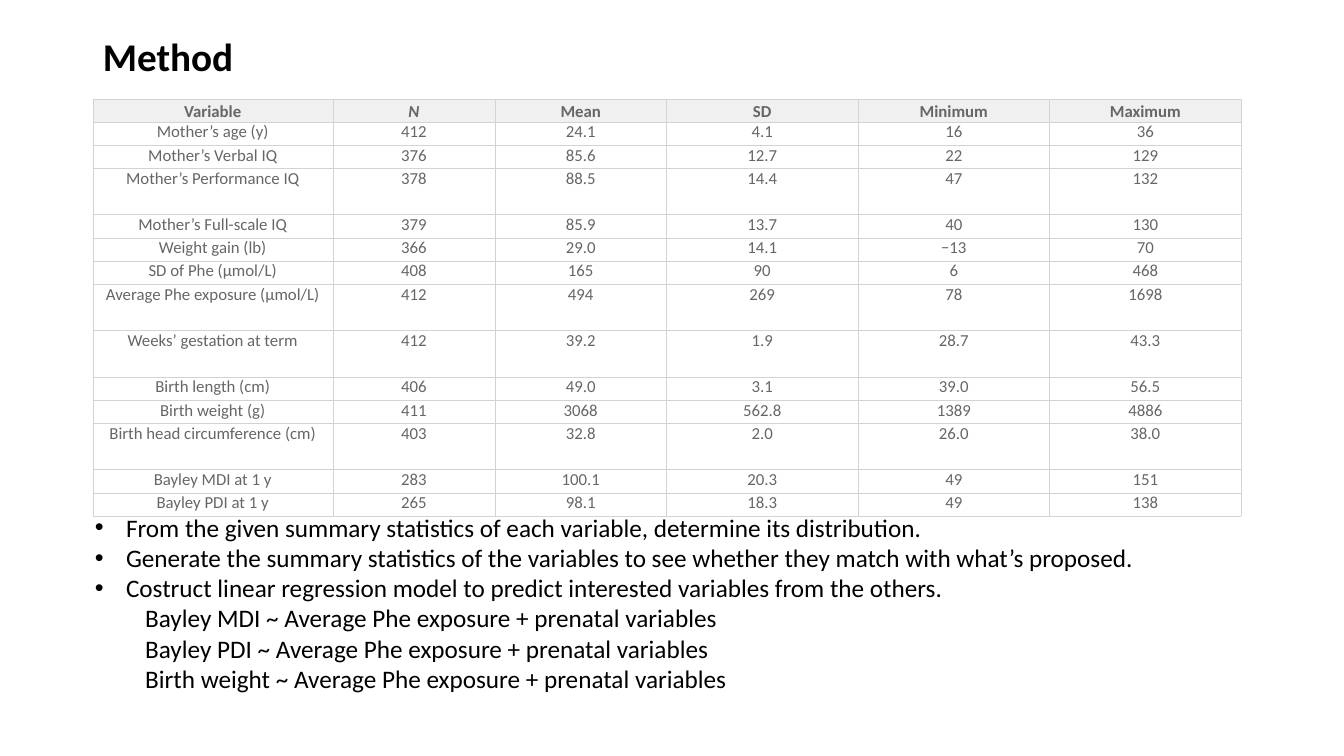
from lxml import etree
from pptx import Presentation
from pptx.dml.color import RGBColor
from pptx.enum.text import MSO_ANCHOR, MSO_AUTO_SIZE, PP_ALIGN
from pptx.oxml.ns import qn
from pptx.util import Inches, Pt

BLACK = RGBColor(0x00, 0x00, 0x00)
WHITE = RGBColor(0xFF, 0xFF, 0xFF)
GREY = RGBColor(0x66, 0x66, 0x66)
PALE = RGBColor(0xF0, 0xF0, 0xF0)
RULE = RGBColor(0xD3, 0xD3, 0xD3)
FONT = "Calibri"
LEFT, CENTER = PP_ALIGN.LEFT, PP_ALIGN.CENTER
TOP, MIDDLE, BOTTOM = MSO_ANCHOR.TOP, MSO_ANCHOR.MIDDLE, MSO_ANCHOR.BOTTOM
NO_FIT, GROW = MSO_AUTO_SIZE.NONE, MSO_AUTO_SIZE.SHAPE_TO_FIT_TEXT

WIDTHS = [2.38, 1.61, 1.7, 1.9, 1.9, 1.9]
ROW = 0.23
TALL = {3, 7, 8, 11}  # rows of double height
DATA = [
    ("Variable", "N", "Mean", "SD", "Minimum", "Maximum"),
    ("Mother’s age (y)", "412", "24.1", "4.1", "16", "36"),
    ("Mother’s Verbal IQ", "376", "85.6", "12.7", "22", "129"),
    ("Mother’s Performance IQ", "378", "88.5", "14.4", "47", "132"),
    ("Mother’s Full-scale IQ", "379", "85.9", "13.7", "40", "130"),
    ("Weight gain (lb)", "366", "29.0", "14.1", "−13", "70"),
    ("SD of Phe (μmol/L)", "408", "165", "90", "6", "468"),
    ("Average Phe exposure (μmol/L)", "412", "494", "269", "78", "1698"),
    ("Weeks’ gestation at term", "412", "39.2", "1.9", "28.7", "43.3"),
    ("Birth length (cm)", "406", "49.0", "3.1", "39.0", "56.5"),
    ("Birth weight (g)", "411", "3068", "562.8", "1389", "4886"),
    ("Birth head circumference (cm)", "403", "32.8", "2.0", "26.0", "38.0"),
    ("Bayley MDI at 1 y", "283", "100.1", "20.3", "49", "151"),
    ("Bayley PDI at 1 y", "265", "98.1", "18.3", "49", "138"),
]
STEPS = [
    "From the given summary statistics of each variable, determine its distribution.",
    "Generate the summary statistics of the variables to see whether they match with what’s proposed.",
    "Costruct linear regression model to predict interested variables from the others.",
]
MODELS = [f"{name} ~ Average Phe exposure + prenatal variables"
          for name in ("Bayley MDI", "Bayley PDI", "Birth weight")]


def place(shape, left, top, width, height):
    shape.left, shape.top = Inches(left), Inches(top)
    shape.width, shape.height = Inches(width), Inches(height)


def add_run(para, text, size, color, bold=False, italic=False):
    run = para.add_run()
    run.text = text
    font = run.font
    font.name, font.size = FONT, Pt(size)
    font.bold, font.italic = bold, italic
    font.color.rgb = color


def add_title(slide, text):
    title = slide.shapes.title
    place(title, 0.92, 0.19, 2.16, 0.79)
    frame = title.text_frame
    frame.auto_size, frame.vertical_anchor = NO_FIT, MIDDLE
    para = frame.paragraphs[0]
    para.alignment, para.line_spacing = LEFT, 0.9
    add_run(para, text, 28, BLACK, bold=True)


def set_edges(cell):
    props = cell._tc.get_or_add_tcPr()
    for side in ("a:lnL", "a:lnR", "a:lnT", "a:lnB"):
        line = etree.SubElement(props, qn(side), w=str(Pt(0.3)))
        fill = etree.SubElement(line, qn("a:solidFill"))
        etree.SubElement(fill, qn("a:srgbClr"), val=str(RULE))


def fill_cell(cell, text, head):
    set_edges(cell)
    cell.fill.solid()
    cell.fill.fore_color.rgb = PALE if head else WHITE
    cell.margin_left = cell.margin_right = 0
    cell.margin_top = cell.margin_bottom = 0
    cell.vertical_anchor = BOTTOM if head else TOP
    para = cell.text_frame.paragraphs[0]
    para.alignment = CENTER
    add_run(para, text, 12, GREY, bold=head, italic=text == "N")


def add_stats(slide):
    heights = [ROW * (2 if i in TALL else 1) for i in range(len(DATA))]
    frame = slide.shapes.add_table(
        len(DATA), len(WIDTHS), Inches(0.92), Inches(0.98),
        Inches(sum(WIDTHS)), Inches(sum(heights)))
    table = frame.table
    table.horz_banding = False
    for col, width in zip(table.columns, WIDTHS):
        col.width = Inches(width)
    for i, (row, height) in enumerate(zip(table.rows, heights)):
        row.height = Inches(height)
        for cell, text in zip(row.cells, DATA[i]):
            fill_cell(cell, text, head=i == 0)


def add_item(para, text, level):
    para.level, para.alignment = level, LEFT
    para.space_before = para.space_after = Pt(0)
    props = para._p.get_or_add_pPr()
    margin, indent = (0.5, 0) if level else (0.31, -0.31)
    props.set("marL", str(Inches(margin)))
    props.set("indent", str(Inches(indent)))
    if level:
        etree.SubElement(props, qn("a:buNone"))
    else:
        etree.SubElement(props, qn("a:buFont"), typeface="Arial")
        etree.SubElement(props, qn("a:buChar"), char="•")
    add_run(para, text, 18, BLACK)


def add_list(slide):
    body = slide.placeholders[1]
    place(body, 0.84, 5.03, 11.54, 2.22)
    frame = body.text_frame
    frame.auto_size, frame.vertical_anchor = GROW, TOP
    items = [(text, 0) for text in STEPS] + [(text, 1) for text in MODELS]
    for i, (text, level) in enumerate(items):
        para = frame.add_paragraph() if i else frame.paragraphs[0]
        add_item(para, text, level)


def main():
    deck = Presentation()
    deck.slide_width, deck.slide_height = Inches(13.33), Inches(7.5)
    slide = deck.slides.add_slide(deck.slide_layouts[1])
    # Heading
    add_title(slide, "Method")
    # Summary statistics
    add_stats(slide)
    # Steps and regression models
    add_list(slide)
    deck.save("out.pptx")


if __name__ == "__main__":
    main()
